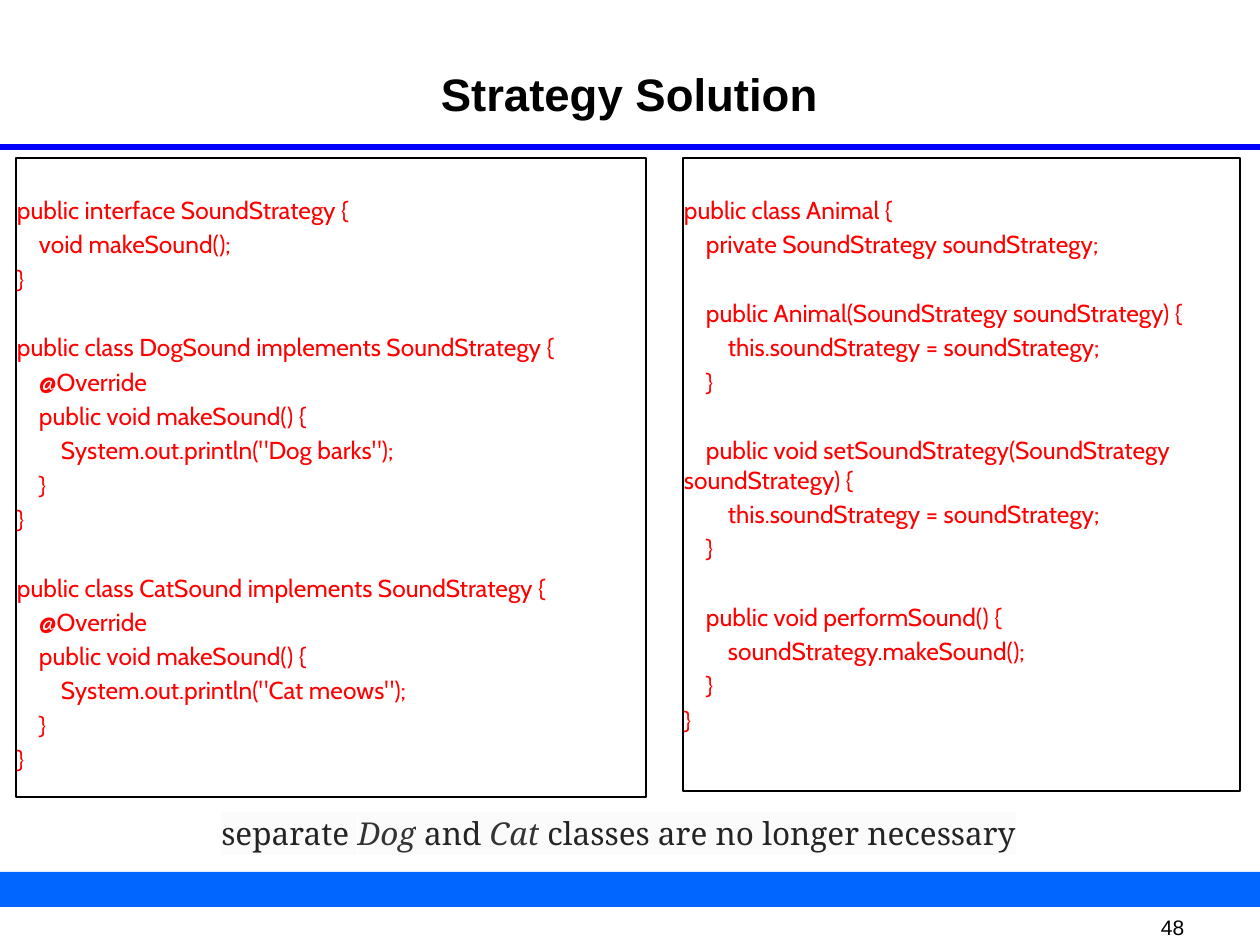
from lxml import etree
from pptx import Presentation
from pptx.dml.color import RGBColor
from pptx.enum.shapes import MSO_CONNECTOR as Connector, MSO_SHAPE as Shape
from pptx.enum.text import MSO_ANCHOR as Anchor, PP_ALIGN as Align
from pptx.oxml.ns import qn
from pptx.util import Inches, Pt

SCALE = Inches(1) / 126
INDENT_PX = 22
LINE_GAP = 2.8
BLANK_LINE_GAP = 22.4

STRATEGIES = """public interface SoundStrategy {
    void makeSound();
}

public class DogSound implements SoundStrategy {
    @Override
    public void makeSound() {
        System.out.println("Dog barks");
    }
}

public class CatSound implements SoundStrategy {
    @Override
    public void makeSound() {
        System.out.println("Cat meows");
    }
}"""

ANIMAL = """public class Animal {
    private SoundStrategy soundStrategy;

    public Animal(SoundStrategy soundStrategy) {
        this.soundStrategy = soundStrategy;
    }

    public void setSoundStrategy(SoundStrategy soundStrategy) {
        this.soundStrategy = soundStrategy;
    }

    public void performSound() {
        soundStrategy.makeSound();
    }
}"""

CAPTION = [("separate ", False), ("Dog", True), (" and ", False),
           ("Cat", True), (" classes are no longer necessary", False)]


def px(length):
    return round(length * SCALE)


def color(value):
    return RGBColor.from_string(value)


def add_run(paragraph, text, *, font="Arial", size=14, fill="000000",
            bold=False, italic=False, highlight=None):
    run = paragraph.add_run()
    run.text = text
    run.font.size = Pt(size)
    run.font.bold = bold
    run.font.italic = italic
    run.font.color.rgb = color(fill)
    if highlight:
        mark = etree.SubElement(run.font._element, qn("a:highlight"))
        etree.SubElement(mark, qn("a:srgbClr")).set("val", highlight)
    run.font.name = font


class SlideBuilder:
    def __init__(self, slide):
        self.slide = slide
        self.code_style = {"font": "Cabin", "size": 14, "fill": "FF0000"}
        self.caption_style = {"font": "Noto Serif", "size": 18, "highlight": "FBFBFB"}

    def frame(self, shape, top=0, side=0):
        """Set wrapping, margins and top anchoring of a shape's text."""
        frame = shape.text_frame
        frame.word_wrap = True
        frame.vertical_anchor = Anchor.TOP
        frame.margin_left = frame.margin_right = px(side)
        frame.margin_top, frame.margin_bottom = px(top), 0
        return frame

    def text(self, box, runs, align=Align.CENTER):
        """Add one line of text from (text, format) pairs."""
        shape = self.slide.shapes.add_textbox(*map(px, box))
        paragraph = self.frame(shape).paragraphs[0]
        paragraph.alignment = align
        for text, style in runs:
            add_run(paragraph, text, **style)

    def rectangle(self, box, fill=None, line=None):
        shape = self.slide.shapes.add_shape(Shape.RECTANGLE, *map(px, box))
        shape.shadow.inherit = False
        if fill:
            shape.fill.solid()
            shape.fill.fore_color.rgb = color(fill)
        else:
            shape.fill.background()
        if line:
            shape.line.color.rgb = color(line)
            shape.line.width = Pt(0.75)
        else:
            shape.line.fill.background()
        return shape

    def rule(self, y, width, line):
        connector = self.slide.shapes.add_connector(
            Connector.STRAIGHT, 0, px(y), px(width), px(y))
        connector.line.color.rgb = color(line)
        connector.line.width = Pt(3)
        etree.SubElement(connector._element.spPr, qn("a:effectLst"))

    def code(self, box, source):
        """Add a framed listing; empty source lines become wider spacing."""
        frame = self.frame(self.rectangle(box, line="000000"), top=37, side=1)
        paragraph, gap = frame.paragraphs[0], 0
        for line in source.splitlines():
            if not line:
                gap = BLANK_LINE_GAP
                continue
            if paragraph.runs:
                paragraph = frame.add_paragraph()
            text = line.lstrip()
            level = (len(line) - len(text)) // 4
            paragraph.alignment = Align.LEFT
            paragraph.space_before = Pt(gap)
            properties = paragraph._p.get_or_add_pPr()
            properties.set("marL", "0")
            properties.set("indent", str(px(level * INDENT_PX)))
            add_run(paragraph, text, **self.code_style)
            gap = LINE_GAP


def main():
    presentation = Presentation()
    presentation.slide_width, presentation.slide_height = px(1260), px(945)
    builder = SlideBuilder(presentation.slides.add_slide(presentation.slide_layouts[6]))

    builder.text((1161, 915, 78, 24), [("48", {"size": 12})], Align.LEFT)
    builder.rectangle((0, 872, 1260, 35), fill="0066FF")
    builder.rule(147, 1260, "0000FF")
    builder.text((84, 66, 1091, 60), [("Strategy Solution", {"size": 26, "bold": True})])
    builder.code((683, 158, 557, 633), ANIMAL)
    builder.code((16, 158, 630, 639), STRATEGIES)
    builder.text((199, 814, 839, 44), [
        (text, {**builder.caption_style, "italic": italic,
                "fill": "343434" if italic else "242424"})
        for text, italic in CAPTION])

    presentation.save("out.pptx")


if __name__ == "__main__":
    main()
